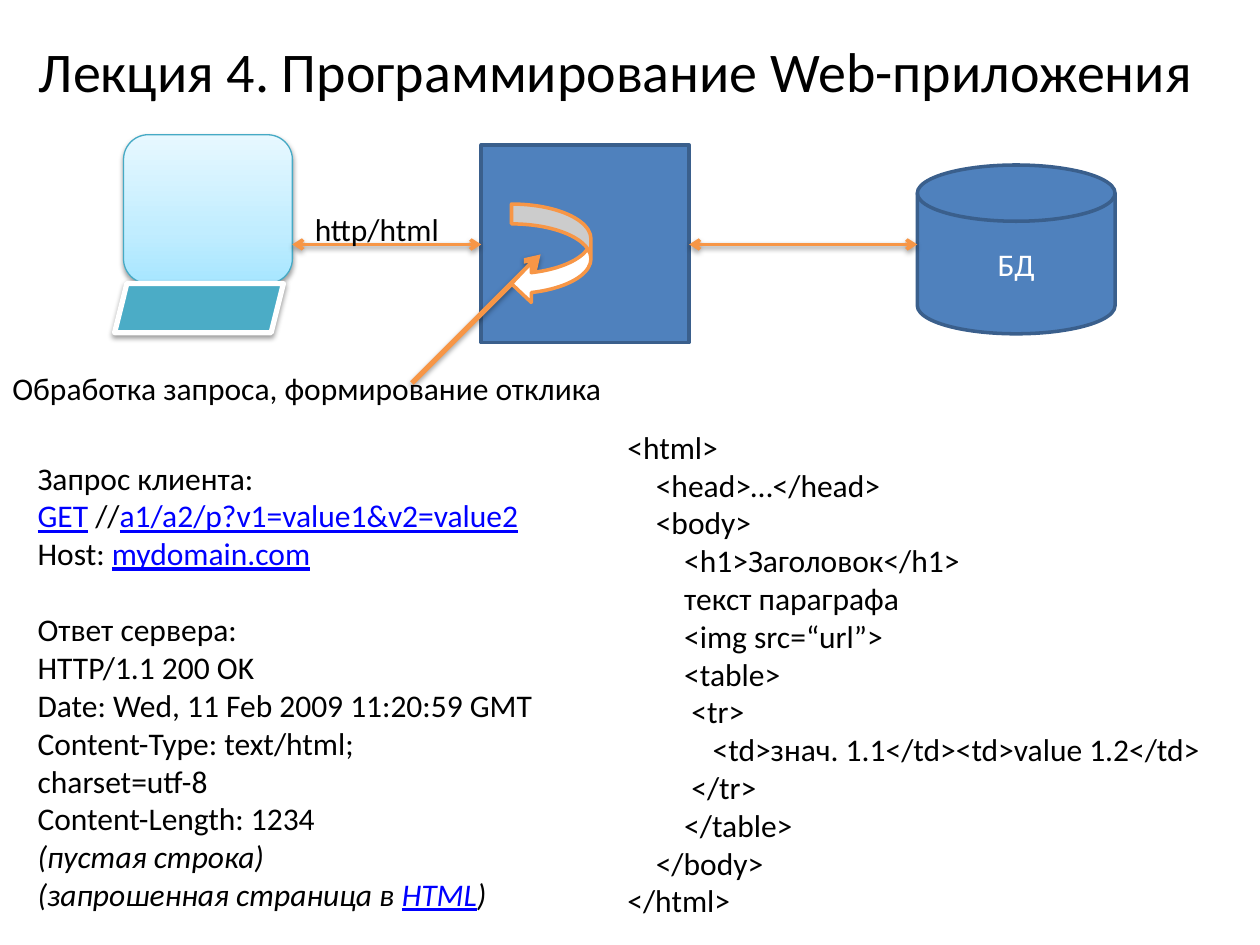
"""Build the lecture slide on web application programming."""
from copy import deepcopy

from lxml.etree import SubElement
from pptx import Presentation
from pptx.dml.color import RGBColor
from pptx.enum.shapes import MSO_CONNECTOR, MSO_SHAPE
from pptx.enum.text import MSO_ANCHOR, PP_ALIGN
from pptx.oxml.ns import qn
from pptx.util import Pt


def paint(fill, color):
    fill.solid()
    fill.fore_color.rgb = RGBColor.from_string(color)


def write(para, text, size=18, color="000000", italic=False, underline=False):
    span = para.add_run()
    span.text = text
    span.font.name = "Calibri"
    span.font.size = Pt(size)
    span.font.italic = italic
    span.font.underline = underline
    paint(span.font.fill, color)


BLUE, NAVY, ORANGE, WHITE, LINK = "4F81BD", "3A5F8C", "F79646", "FFFFFF", "0000FF"
LINE_HEIGHT = 22

deck = Presentation()
deck.slide_width, deck.slide_height = Pt(720), Pt(540)
page = deck.slides.add_slide(deck.slide_layouts[5])

title = page.shapes.title
title.left, title.top, title.width, title.height = Pt(14.4), Pt(20.9), Pt(675.4), Pt(38.9)
frame = title.text_frame
frame.margin_left = frame.margin_right = frame.margin_top = frame.margin_bottom = 0
frame.vertical_anchor = MSO_ANCHOR.MIDDLE
frame.paragraphs[0].alignment = PP_ALIGN.CENTER
write(frame.paragraphs[0], "Лекция 4. Программирование Web-приложения", size=32)

connectors = []
for x1, y1, x2, y2, width, two_way in [
    (393.8, 139.7, 524.2, 139.7, 2, True),
    (167, 139.7, 275, 139.7, 2, True),
    (235.4, 218.9, 308.9, 145.4, 3, False),
]:
    arrow = page.shapes.add_connector(MSO_CONNECTOR.STRAIGHT, Pt(x1), Pt(y1), Pt(x2), Pt(y2))
    arrow.line.width = Pt(width)
    paint(arrow.line.fill, ORANGE)
    for end in ["a:headEnd", "a:tailEnd"] if two_way else ["a:tailEnd"]:
        SubElement(arrow.line._get_or_add_ln(), qn(end), type="arrow")
    SubElement(arrow._element.spPr, qn("a:effectLst"))
    connectors.append(arrow)

laptop = page.shapes.add_group_shape()
drawn = []
for parent, kind, left, top, width, height, fill, line, weight in [
    (page, MSO_SHAPE.FLOWCHART_MAGNETIC_DISK, 524.2, 94.3, 113, 96.5, BLUE, NAVY, 2),
    (page, MSO_SHAPE.RECTANGLE, 275, 82.8, 118.8, 113, BLUE, NAVY, 2),
    (laptop, MSO_SHAPE.ROUNDED_RECTANGLE, 70.6, 77, 96.5, 85, "C1EDFF", "46AAC5", 0.75),
    (laptop, MSO_SHAPE.PARALLELOGRAM, 65.5, 162, 96.5, 28.1, "4BACC6", WHITE, 3),
    (page, MSO_SHAPE.CURVED_LEFT_ARROW, 292.3, 116.6, 45.4, 56.9, WHITE, ORANGE, 2),
]:
    shape = parent.shapes.add_shape(kind, Pt(left), Pt(top), Pt(width), Pt(height))
    paint(shape.fill, fill)
    paint(shape.line.fill, line)
    shape.line.width = Pt(weight)
    shape.shadow.inherit = False
    drawn.append(shape)
database, server, screen, keyboard, loop_arrow = drawn

for arrow in connectors:
    loop_arrow._element.addprevious(arrow._element)

database.text_frame.vertical_anchor = MSO_ANCHOR.MIDDLE
database.text_frame.paragraphs[0].alignment = PP_ALIGN.CENTER
write(database.text_frame.paragraphs[0], "БД", color=WHITE)

screen.fill.gradient()
screen.fill.gradient_angle = 90
stops = screen._element.spPr.find(".//" + qn("a:gsLst"))
stops.insert(1, deepcopy(stops[0]))
for stop, (position, color) in zip(
    screen.fill.gradient_stops, [(0, "A7E6FF"), (0.35, "C1EDFF"), (1, "E7F8FF")]
):
    stop.position = position
    stop.color.rgb = RGBColor.from_string(color)

for shape in [screen, keyboard, *connectors]:
    effects = shape._element.spPr.find(qn("a:effectLst"))
    shadow = SubElement(effects, qn("a:outerShdw"), blurRad=str(Pt(3.1)),
                        dist=str(Pt(1.6)), dir="5400000", rotWithShape="0")
    black = SubElement(shadow, qn("a:srgbClr"), val="000000")
    SubElement(black, qn("a:alpha"), val="38000")

request = [
    ["Запрос клиента:"],
    ["", "GET", " //", "a1/a2/p?v1=value1&v2=value2"],
    ["Host: ", "mydomain.com"],
    ["Ответ сервера:"],
    ["HTTP/1.1 200 OK"],
    ["Date: Wed, 11 Feb 2009 11:20:59 GMT"],
    ["Content-Type: text/html;"],
    ["charset=utf-8"],
    ["Content-Length: 1234"],
    ["(пустая строка)"],
    ["(запрошенная страница в ", "HTML", ")"],
]
code = """<html>
    <head>…</head>
    <body>
        <h1>Заголовок</h1>
        текст параграфа
        <img src=“url”>
        <table>
         <tr>
            <td>знач. 1.1</td><td>value 1.2</td>
         </tr>
        </table>
    </body>
</html>"""

for left, top, width, height, lines in [
    (172.8, 116.6, 90.7, 28.8, [["http/html"]]),
    (0, 207.4, 368.6, 28.8, [["Обработка запроса, формирование отклика"]]),
    (14.4, 258.5, 306, 269.3, request),
    (351.4, 218.9 + LINE_HEIGHT, 368.6, 290.5, [[line] for line in code.split("\n")]),
]:
    box = page.shapes.add_textbox(Pt(left), Pt(top), Pt(width), Pt(height))
    frame = box.text_frame
    frame.word_wrap = True
    for index, line in enumerate(lines):
        para = frame.add_paragraph() if index else frame.paragraphs[0]
        if line[0] == "Ответ сервера:":
            para.space_before = Pt(LINE_HEIGHT)
        for number, text in enumerate(line):
            linked = number % 2 == 1
            if text:
                write(para, text, color=LINK if linked else "000000",
                      italic=line[0].startswith("("), underline=linked)

deck.save("out.pptx")
